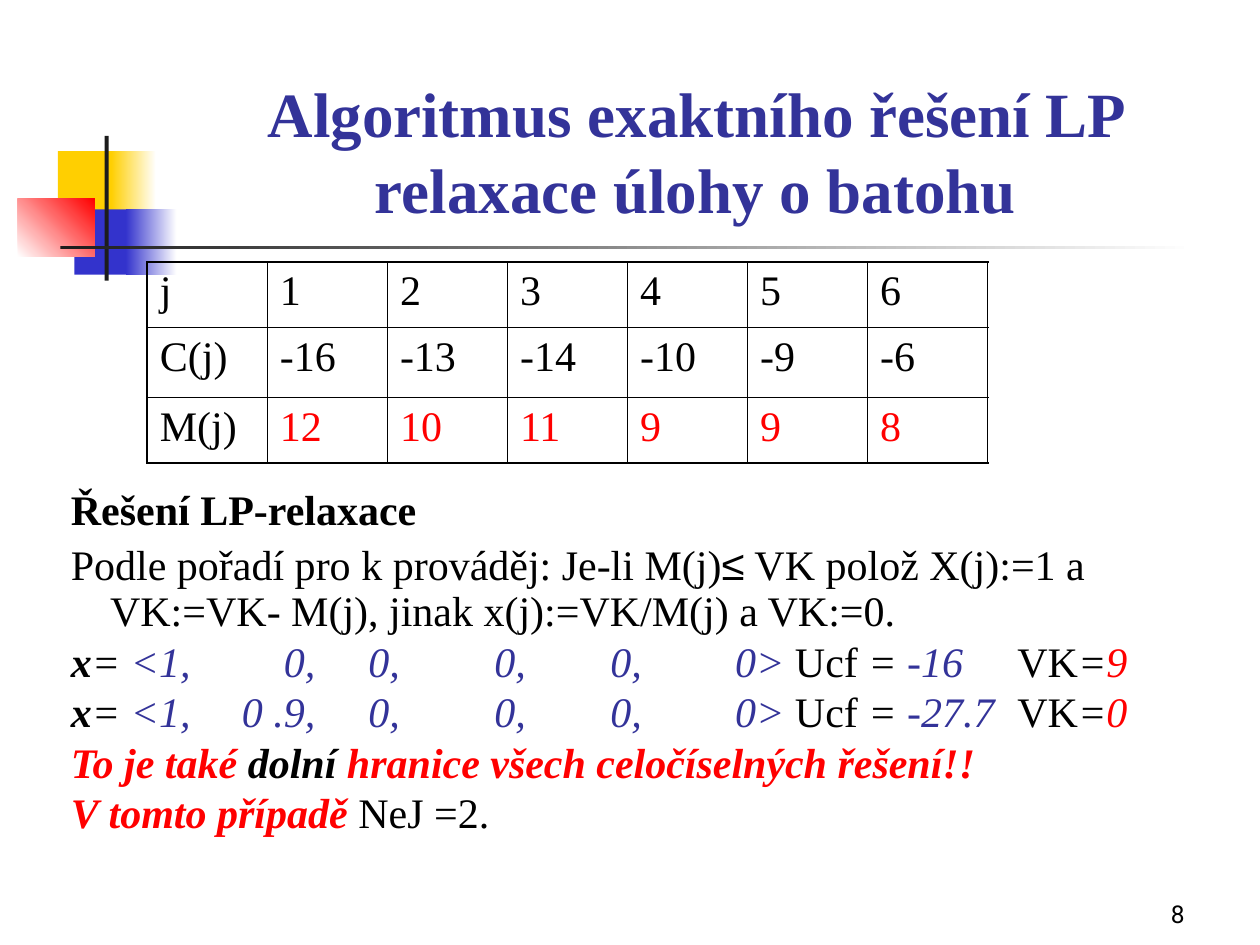
from typing import NamedTuple

from lxml import etree
from pptx import Presentation
from pptx import util as u
from pptx.dml import color
from pptx.enum import shapes, text
from pptx.oxml import ns

Cm, Pt = u.Cm, u.Pt
BLACK, RED, NAVY, WHITE = "000000", "FF0000", "333399", "FFFFFF"
YELLOW, BLUE, DARK = "FFCF01", "3333CC", "1C1C1C"
SERIF = "Times New Roman"
HANG = 0.79


class Block(NamedTuple):
    left: float
    top: float
    width: float
    height: float
    start: str
    end: str | None = None
    angle: float = 0


class Tab(NamedTuple):
    pos: float
    align: str


BLOCKS = [
    Block(1.17, 3.05, 1.22, 1.32, YELLOW),
    Block(2.24, 3.05, 0.91, 1.32, YELLOW, WHITE),
    Block(1.5, 4.22, 1.17, 1.32, BLUE),
    Block(2.54, 4.22, 1.02, 1.32, BLUE, WHITE),
    Block(0.36, 4.01, 1.55, 1.17, WHITE, RED, 45),
    Block(2.11, 2.74, 0.08, 2.92, DARK),
    Block(1.22, 4.95, 22.86, 0.08, DARK, WHITE),
]
ROWS = [
    ["j", "1", "2", "3", "4", "5", "6"],
    ["C(j)", "-16", "-13", "-14", "-10", "-9", "-6"],
    ["M(j)", "12", "10", "11", "9", "9", "8"],
]
ROW_HEIGHTS = [1.32, 1.42, 1.32]
SOLUTION_TABS = [Tab(4.93, "r"), Tab(6.63, "r"), Tab(9.17, "r"),
                 Tab(11.51, "r"), Tab(13.39, "l"), Tab(19.08, "l")]


def rgb(value: str) -> color.RGBColor:
    return color.RGBColor.from_string(value)


def add_run(p, content: str, *, size: float = 24, font: str = SERIF,
            c: str = BLACK, bold: bool = False, italic: bool = False) -> None:
    r = p.add_run()
    r.text = content
    f = r.font
    f.size, f.name, f.bold, f.italic = Pt(size), font, bold, italic
    f.color.rgb = rgb(c)


def add_block(s, b: Block) -> None:
    sp = s.shapes.add_shape(shapes.MSO_SHAPE.RECTANGLE, Cm(b.left), Cm(b.top),
                            Cm(b.width), Cm(b.height))
    sp.shadow.inherit = False
    sp.line.fill.background()
    if b.end is None:
        sp.fill.solid()
        sp.fill.fore_color.rgb = rgb(b.start)
        return
    sp.fill.gradient()
    sp.fill.gradient_angle = b.angle
    for stop, c in zip(sp.fill.gradient_stops, (b.start, b.end)):
        stop.color.rgb = rgb(c)


def add_box(s, left: float, top: float, width: float, height: float,
            anchor=text.MSO_ANCHOR.TOP):
    tf = s.shapes.add_textbox(Cm(left), Cm(top), Cm(width), Cm(height)).text_frame
    tf.word_wrap = True
    tf.vertical_anchor = anchor
    return tf


def set_borders(cell, **widths: float) -> None:
    """Draw black borders; widths in points, keyed L, R, T and B in that order."""
    tc_pr = cell._tc.get_or_add_tcPr()
    for i, (side, width) in enumerate(widths.items()):
        ln = etree.Element(ns.qn(f"a:ln{side}"), w=str(Pt(width)))
        fill = etree.SubElement(ln, ns.qn("a:solidFill"))
        etree.SubElement(fill, ns.qn("a:srgbClr"), val=BLACK)
        tc_pr.insert(i, ln)


def add_item_table(s) -> None:
    n_rows, n_cols = len(ROWS), len(ROWS[0])
    col_width = 2.42
    table = s.shapes.add_table(n_rows, n_cols, Cm(2.97), Cm(5.28),
                               Cm(n_cols * col_width), Cm(sum(ROW_HEIGHTS))).table
    table.first_row = table.horz_banding = False
    for col in table.columns:
        col.width = Cm(col_width)
    for i, values in enumerate(ROWS):
        table.rows[i].height = Cm(ROW_HEIGHTS[i])
        for j, value in enumerate(values):
            cell = table.cell(i, j)
            cell.fill.background()
            add_run(cell.text_frame.paragraphs[0], value,
                    c=RED if i == n_rows - 1 and j else BLACK)
            edges = {"L": j == 0, "R": j == n_cols - 1,
                     "T": i == 0, "B": i == n_rows - 1}
            set_borders(cell, **{k: 1.08 if outer else 0.45
                                 for k, outer in edges.items()})


def hang(p) -> None:
    p_pr = p._p.get_or_add_pPr()
    p_pr.set("marL", str(Cm(HANG)))
    p_pr.set("indent", str(-Cm(HANG)))


def add_solution(tf, vector: str, cost: str, rest: str) -> None:
    p = tf.add_paragraph()
    tabs = etree.SubElement(p._p.get_or_add_pPr(), ns.qn("a:tabLst"))
    for tab in SOLUTION_TABS:
        etree.SubElement(tabs, ns.qn("a:tab"), pos=str(Cm(tab.pos)), algn=tab.align)
    add_run(p, "x", bold=True, italic=True)
    add_run(p, "= ", italic=True)
    add_run(p, vector + " ", c=NAVY, italic=True)
    add_run(p, "Ucf ")
    add_run(p, "=", italic=True)
    add_run(p, f" {cost}\t", c=NAVY, italic=True)
    add_run(p, "VK")
    add_run(p, "=", italic=True)
    add_run(p, rest, c=RED, italic=True)


def add_body(s) -> None:
    tf = add_box(s, 0.64, 9.73, 24.13, 8.26)
    tf.margin_left = Cm(HANG)
    p = tf.paragraphs[0]
    p.line_spacing = 0.9
    add_run(p, "Řešení LP-relaxace", bold=True)

    p = tf.add_paragraph()
    hang(p)
    p.line_spacing, p.space_before = 0.9, Pt(6)
    add_run(p, "Podle pořadí pro k prováděj: Je-li M(j)")
    add_run(p, "≤", font="Arial")
    add_run(p, " VK polož X(j):=1 a VK:=VK- M(j), jinak x(j):=VK/M(j) a VK:=0.")

    add_solution(tf, "<1,\t0,\t0,\t0,\t0,\t0>", "-16", "9")
    add_solution(tf, "<1,\t0 .9,\t0,\t0,\t0,\t0>", "-27.7", "0")

    p = tf.add_paragraph()
    for content, c in (("To je také ", RED), ("dolní", BLACK),
                       (" hranice všech celočíselných řešení!!", RED)):
        add_run(p, content, c=c, bold=True, italic=True)
    p = tf.add_paragraph()
    add_run(p, "V tomto případě ", c=RED, bold=True, italic=True)
    add_run(p, "NeJ =2.")


def main() -> None:
    prs = Presentation()
    prs.slide_width, prs.slide_height = Cm(25.4), Cm(19.05)
    s = prs.slides.add_slide(prs.slide_layouts[6])
    for block in BLOCKS:
        add_block(s, block)

    p = add_box(s, 18.85, 17.58, 5.28, 1.27, text.MSO_ANCHOR.BOTTOM).paragraphs[0]
    p.alignment = text.PP_ALIGN.RIGHT
    add_run(p, "8", size=14, font="Roboto")

    p = add_box(s, 3.2, 1.07, 21.64, 3.61, text.MSO_ANCHOR.BOTTOM).paragraphs[0]
    p.alignment = text.PP_ALIGN.CENTER
    add_run(p, "Algoritmus exaktního řešení LP relaxace úlohy o batohu",
            size=36, c=NAVY, bold=True)

    add_body(s)
    add_item_table(s)
    prs.save("out.pptx")


if __name__ == "__main__":
    main()
